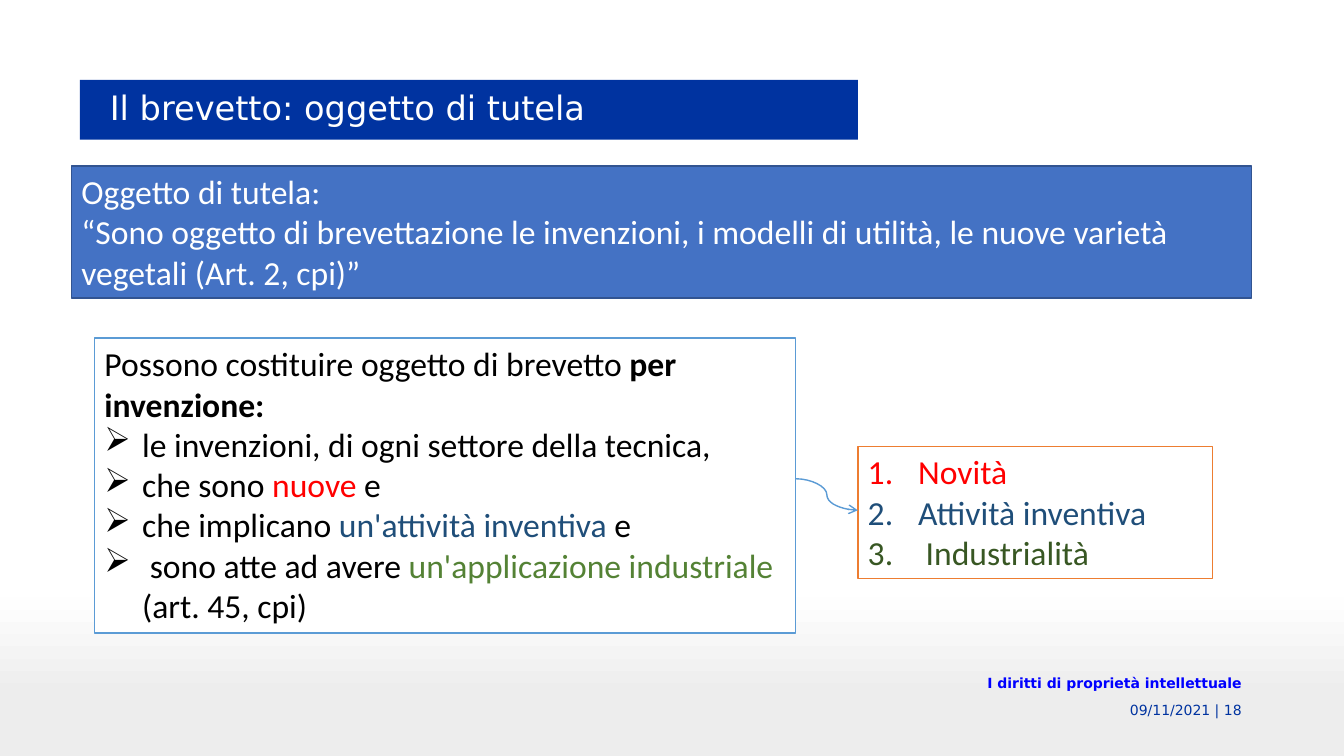
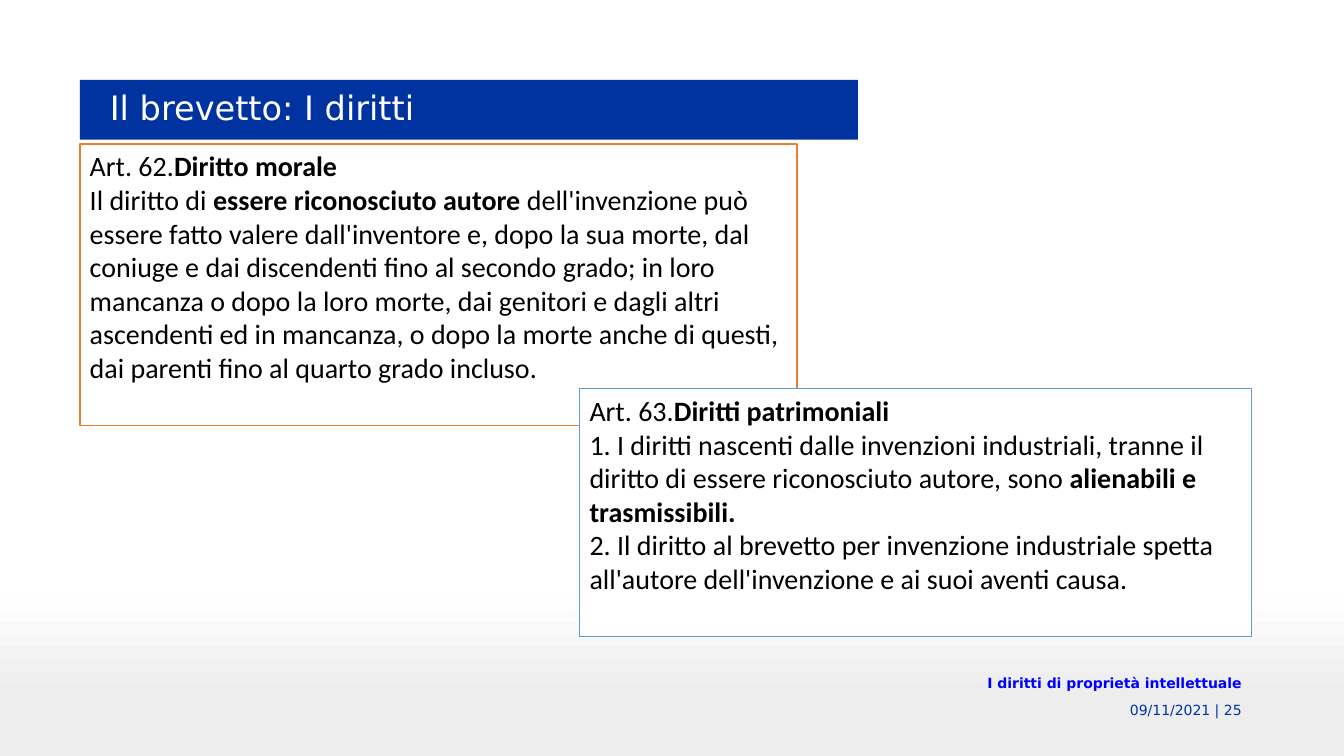
from copy import deepcopy

from lxml import etree
from pptx import Presentation
from pptx import util as u
from pptx.dml.color import RGBColor
from pptx.enum import shapes, text
from pptx.oxml.ns import qn

PX = 9525
COLORS = {
    "band": "0033A0",
    "footer": "0000FF",
    "panel": "4472C4",
    "panel_line": "325491",
    "blue_line": "5B9BD5",
    "orange_line": "ED7D31",
    "white": "FFFFFF",
    "black": "000000",
    "red": "FF0000",
    "navy": "1F4E79",
    "green": "548235",
    "dark_green": "385723",
}
BACKGROUND_STOPS = [(0, "FFFFFF"), (0.79, "FEFEFE"), (0.92, "EDEDED")]
HEADING_FONT = "DejaVu Sans"
BODY_FONT = "Calibri"
ARROWS = ("a:buChar", {"char": "➢"})
NUMBERS = ("a:buAutoNum", {"type": "arabicPeriod"})


def write_text(frame, paragraphs, size=24, font=BODY_FONT, color="black", bold=False,
               align="LEFT", anchor="TOP", margin=0, indent=0, marker=None,
               marked_from=0, line_spacing=None):
    frame.word_wrap = True
    frame.auto_size = text.MSO_AUTO_SIZE.NONE
    frame.vertical_anchor = text.MSO_ANCHOR[anchor]
    for index, runs in enumerate(paragraphs):
        paragraph = frame.add_paragraph() if index else frame.paragraphs[0]
        properties = paragraph._p.get_or_add_pPr()
        if margin and index >= marked_from:
            properties.set("marL", str(margin * PX))
            properties.set("indent", str(indent * PX))
        if marker and index >= marked_from:
            tag, attributes = marker
            etree.SubElement(properties, qn(tag), attributes)
        paragraph.alignment = text.PP_ALIGN[align]
        if line_spacing:
            paragraph.line_spacing = line_spacing
        for words, style in runs:
            run = paragraph.add_run()
            run.text = words
            run.font.size = u.Pt(size)
            run.font.name = font
            run.font.bold = style.get("bold", bold)
            run.font.color.rgb = RGBColor.from_string(COLORS[style.get("color", color)])


def add_box(slide, bounds, paragraphs, fill="white", line="blue_line", **text_format):
    shape = slide.shapes.add_shape(shapes.MSO_SHAPE.RECTANGLE, *[n * PX for n in bounds])
    shape.shadow.inherit = False
    shape.fill.solid()
    shape.fill.fore_color.rgb = RGBColor.from_string(COLORS[fill])
    shape.line.color.rgb = RGBColor.from_string(COLORS[line])
    shape.line.width = u.Pt(1)
    write_text(shape.text_frame, paragraphs, **text_format)


PLAIN = {}
BOLD = {"bold": True}
RED = {"color": "red"}
NAVY = {"color": "navy"}
GREEN = {"color": "green"}
DARK_GREEN = {"color": "dark_green"}

presentation = Presentation()
presentation.slide_width = 1280 * PX
presentation.slide_height = 720 * PX

master = presentation.slide_master
background = master.background.fill
background.gradient()
background.gradient_angle = 270
stop_list = master.element.xpath("./p:cSld/p:bg//a:gsLst")[0]
stop_list.append(deepcopy(stop_list[-1]))
for stop, (position, color) in zip(background.gradient_stops, BACKGROUND_STOPS):
    stop.position = position
    stop.color.rgb = RGBColor.from_string(color)

slides = []
for heading, number in [("Il brevetto: oggetto di tutela", 18), ("Il brevetto: I diritti", 25)]:
    slide = presentation.slides.add_slide(presentation.slide_layouts[5])
    title = slide.shapes.title
    title.left, title.top, title.width, title.height = [n * PX for n in (76, 76, 741, 57)]
    title.fill.solid()
    title.fill.fore_color.rgb = RGBColor.from_string(COLORS["band"])
    write_text(title.text_frame, [[(heading, PLAIN)]], font=HEADING_FONT, color="white",
               anchor="MIDDLE", margin=19, line_spacing=0.9)
    footers = [
        ((904, 667, 288, 18), f"09/11/2021 | {number}", "band", False),
        ((758, 632, 434, 36), "I diritti di proprietà intellettuale", "footer", True),
    ]
    for bounds, words, color, bold in footers:
        footer = slide.shapes.add_textbox(*[n * PX for n in bounds])
        write_text(footer.text_frame, [[(words, PLAIN)]], size=10, font=HEADING_FONT,
                   color=color, bold=bold, align="RIGHT", anchor="MIDDLE")
    slides.append(slide)

subject_slide, rights_slide = slides

add_box(subject_slide, (68, 158, 1124, 126), [
    [("Oggetto di tutela:", PLAIN)],
    [("“Sono oggetto di brevettazione le invenzioni, i modelli di utilità, "
      "le nuove varietà vegetali (Art. 2, cpi)”", PLAIN)],
], fill="panel", line="panel_line", color="white")

add_box(subject_slide, (90, 322, 668, 281), [
    [("Possono costituire oggetto di brevetto ", PLAIN), ("per invenzione:", BOLD)],
    [("le invenzioni, di ogni settore della tecnica,", PLAIN)],
    [("che sono ", PLAIN), ("nuove", RED), (" e", PLAIN)],
    [("che implicano ", PLAIN), ("un'attività inventiva ", NAVY), ("e", PLAIN)],
    [(" sono atte ad avere ", PLAIN), ("un'applicazione industriale ", GREEN),
     ("(art. 45, cpi)", PLAIN)],
], margin=36, indent=-36, marker=ARROWS, marked_from=1)

add_box(subject_slide, (817, 425, 338, 126), [
    [("Novità", RED)],
    [("Attività inventiva", NAVY)],
    [(" Industrialità", DARK_GREEN)],
], line="orange_line", margin=48, indent=-48, marker=NUMBERS)

connector = subject_slide.shapes.add_connector(
    shapes.MSO_CONNECTOR.CURVE, *[n * PX for n in (758, 456, 817, 486)])
connector.line.color.rgb = RGBColor.from_string(COLORS["blue_line"])
connector.line.width = u.Pt(1)
etree.SubElement(connector.line._get_or_add_ln(), qn("a:tailEnd"), {"type": "arrow"})
etree.SubElement(connector.element.spPr, qn("a:effectLst"))

add_box(rights_slide, (76, 137, 683, 268), [
    [("Art. 62.", PLAIN), ("Diritto morale", BOLD)],
    [("Il diritto di ", PLAIN), ("essere riconosciuto autore ", BOLD),
     ("dell'invenzione può essere fatto valere dall'inventore e, dopo la sua morte, "
      "dal coniuge e dai discendenti fino al secondo grado; in loro mancanza o dopo "
      "la loro morte, dai genitori e dagli altri ascendenti ed in mancanza, o dopo "
      "la morte anche di questi, dai parenti fino al quarto grado incluso.", PLAIN)],
], line="orange_line", size=20)

add_box(rights_slide, (552, 370, 640, 236), [
    [("Art. 63.", PLAIN), ("Diritti patrimoniali", BOLD)],
    [("1. I diritti nascenti dalle invenzioni industriali, tranne il diritto di essere "
      "riconosciuto autore, sono ", PLAIN), ("alienabili e trasmissibili.", BOLD)],
    [("2. Il diritto al brevetto per invenzione industriale spetta all'autore "
      "dell'invenzione e ai suoi aventi causa.", PLAIN)],
], size=20)

presentation.save("out.pptx")
